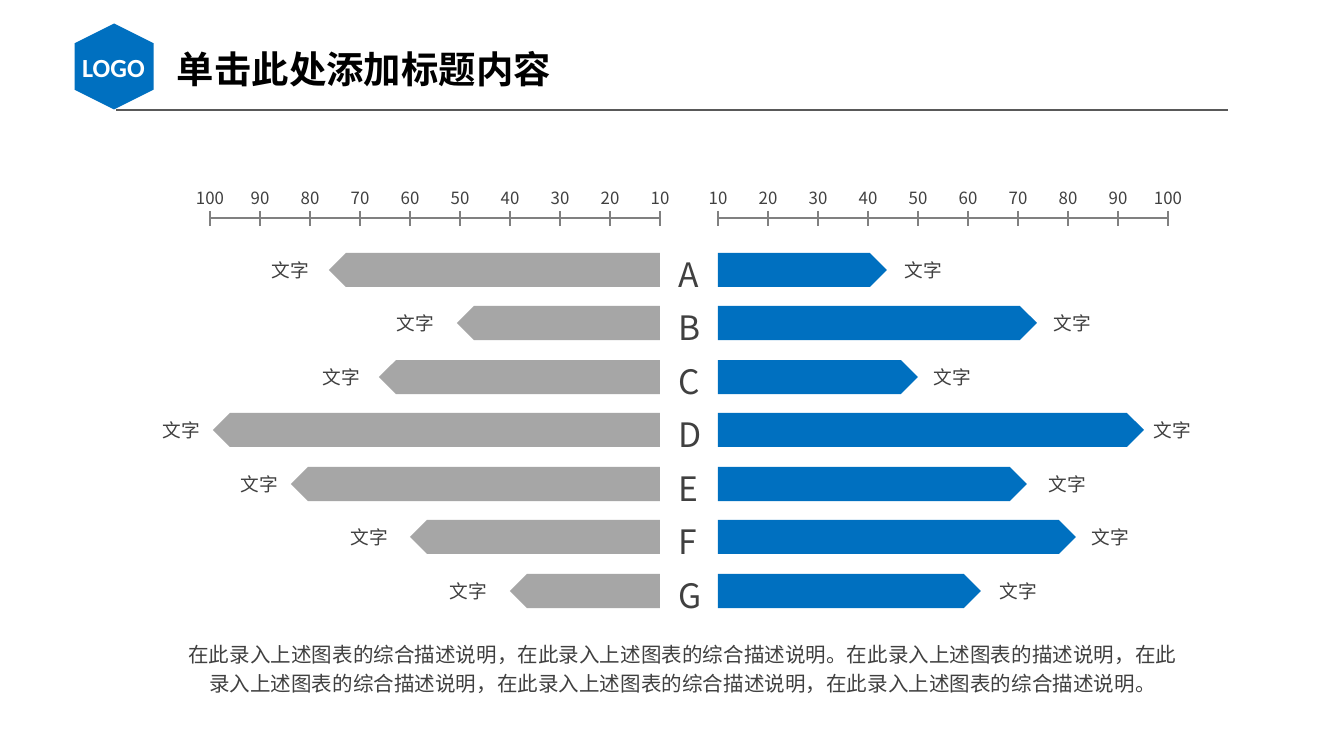
from pptx import Presentation
from pptx.dml.color import RGBColor
from pptx.enum.shapes import MSO_CONNECTOR, MSO_SHAPE
from pptx.enum.text import PP_ALIGN
from pptx.oxml.ns import qn
from pptx.util import Inches, Pt
from lxml.etree import SubElement

PX = Inches(10) / 1344
COLORS = {
    "blue": "0070C0", "bar": "A6A6A6", "axis": "808080", "rule": "595959",
    "text": "404040", "title": "000000", "white": "FFFFFF",
}
CJK_FONT = "Noto Sans CJK SC"


def add_text(box, text, size, color="text", align=PP_ALIGN.LEFT, bold=False,
             font=CJK_FONT, inset=(10, 5), wrap=False):
    """Add a text box; box is left, top, width, height in px."""
    shape = slide.shapes.add_textbox(*[round(value * PX) for value in box])
    frame = shape.text_frame
    frame.word_wrap = wrap
    frame.margin_left = frame.margin_right = round(inset[0] * PX)
    frame.margin_top = frame.margin_bottom = round(inset[1] * PX)
    paragraph = frame.paragraphs[0]
    paragraph.alignment = align
    run = paragraph.add_run()
    run.text = text
    run.font.size = Pt(size)
    run.font.bold = bold
    run.font.color.rgb = RGBColor.from_string(COLORS[color])
    run.font.name = font
    SubElement(run.font._element, qn("a:ea")).set("typeface", font)
    return paragraph


def add_line(x1, y1, x2, y2, color="axis"):
    line = slide.shapes.add_connector(
        MSO_CONNECTOR.STRAIGHT, *[round(value * PX) for value in (x1, y1, x2, y2)])
    line.line.color.rgb = RGBColor.from_string(COLORS[color])
    line.line.width = Pt(0.75)
    SubElement(line._element.spPr, qn("a:effectLst"))


presentation = Presentation()
presentation.slide_width = round(1344 * PX)
presentation.slide_height = round(756 * PX)
slide = presentation.slides.add_slide(presentation.slide_layouts[6])

# Header
add_line(116, 110, 1228, 110, "rule")
hexagon = slide.shapes.add_shape(
    MSO_SHAPE.HEXAGON, *[round(value * PX) for value in (71, 27, 86, 79)])
hexagon.rotation = 90
hexagon.shadow.inherit = False
hexagon.fill.solid()
hexagon.fill.fore_color.rgb = RGBColor.from_string(COLORS["blue"])
hexagon.line.fill.background()
add_text((66, 44, 95, 46), "LOGO", 14, "white", PP_ALIGN.CENTER, True,
         "Calibri", (13, 7), True)
add_text((164, 39, 530, 59), "单击此处添加标题内容", 20, "title", bold=True,
         inset=(13, 7), wrap=True)

# Each side: axis origin, direction, bar colour, (bar length, label left) per row
sides = [
    (660, -1, "bar", [(331, 262), (203, 387), (281, 313), (447, 153),
                      (369, 231), (250, 341), (150, 440)]),
    (718, 1, "blue", [(169, 895), (319, 1044), (200, 924), (426, 1144),
                      (309, 1039), (358, 1082), (263, 990)]),
]
row_tops = [253 + 321 * row // 6 for row in range(7)]

for origin, direction, color, rows in sides:
    add_line(origin, 218, origin + direction * 450, 218)
    for tick in range(10):
        x = origin + direction * tick * 50
        add_line(x, 211, x, 226)
        add_text((x - 25, 183, 50, 31), str(10 * (tick + 1)), 9,
                 align=PP_ALIGN.CENTER)

    for top, (length, label_left) in zip(row_tops, rows):
        left = min(origin, origin + direction * length)
        bar = slide.shapes.add_shape(
            MSO_SHAPE.PENTAGON, *[round(value * PX) for value in (left, top, length, 34)])
        bar.shadow.inherit = False
        bar.fill.solid()
        bar.fill.fore_color.rgb = RGBColor.from_string(COLORS[color])
        bar.line.fill.background()
        if direction < 0:
            bar._element.spPr.xfrm.set("flipH", "1")
        add_text((label_left, top + 1, 58, 32), "文字", 10)

for letter, top in zip("ABCDEFG", row_tops):
    add_text((669, top - 4, 46, 51), letter, 18)

description = add_text(
    (176, 632, 1014, 71),
    "在此录入上述图表的综合描述说明，在此录入上述图表的综合描述说明。"
    "在此录入上述图表的描述说明，在此录入上述图表的综合描述说明，"
    "在此录入上述图表的综合描述说明，在此录入上述图表的综合描述说明。",
    11, align=PP_ALIGN.CENTER, wrap=True)
description.line_spacing = 1.2

presentation.save("out.pptx")
